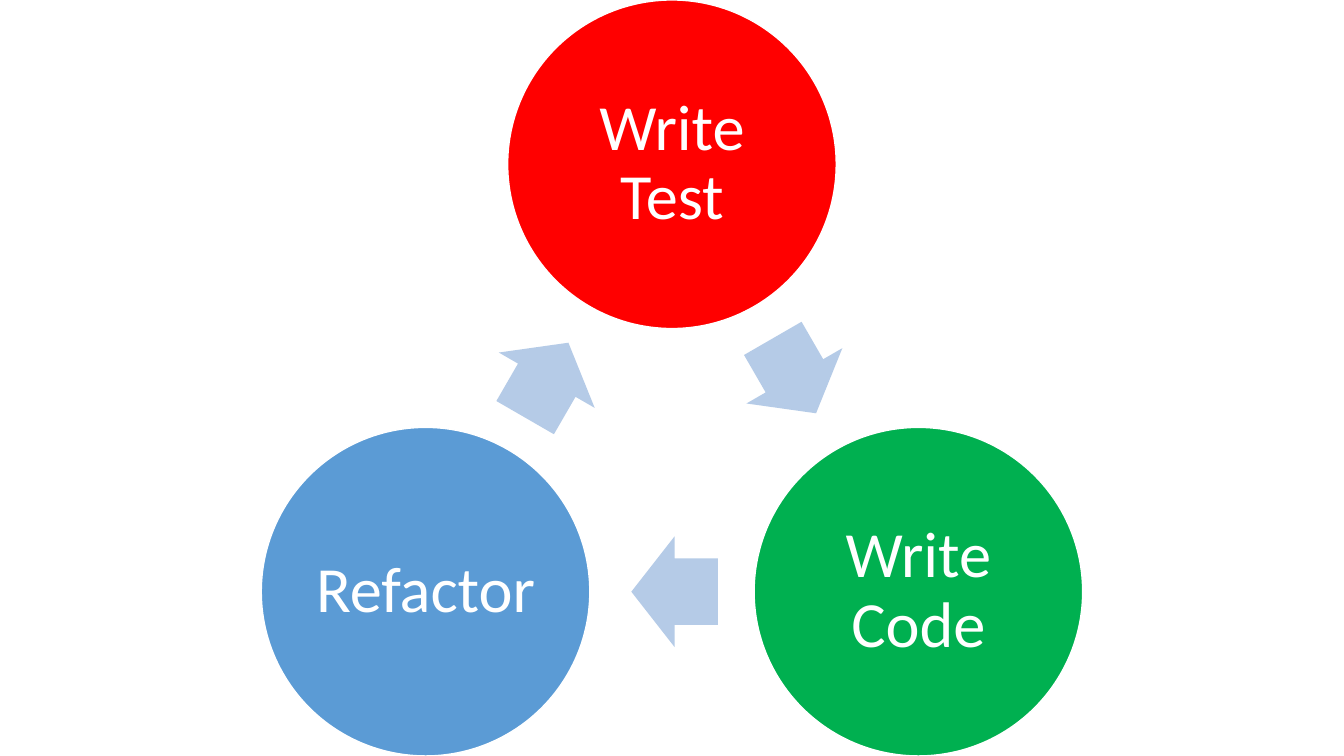
from dataclasses import dataclass

from pptx import Presentation
from pptx.dml.color import RGBColor
from pptx.enum.shapes import MSO_SHAPE
from pptx.enum.text import MSO_ANCHOR, PP_ALIGN
from pptx.util import Cm, Pt

OVAL, ARROW = MSO_SHAPE.OVAL, MSO_SHAPE.RIGHT_ARROW
MIDDLE, CENTER = MSO_ANCHOR.MIDDLE, PP_ALIGN.CENTER

# Lengths in cm
SLIDE_W, SLIDE_H = 33.87, 19.05
DIAMETER = 8.28
ARROW_W, ARROW_H = 2.18, 2.79
MID_X = SLIDE_W / 2
SIDE = 6.21
TOP_Y, BOTTOM_Y = DIAMETER / 2, SLIDE_H - DIAMETER / 2


@dataclass
class Step:
    text: str
    x: float
    y: float
    fill: str


@dataclass
class Arrow:
    x: float
    y: float
    rotation: int


STEPS = [
    Step("Write Test", MID_X, TOP_Y, "FF0000"),
    Step("Write Code", MID_X + SIDE, BOTTOM_Y, "00B050"),
    Step("Refactor", MID_X - SIDE, BOTTOM_Y, "5B9BD5"),
]
ARROWS = [
    Arrow(20.02, 9.47, 60),
    Arrow(17, BOTTOM_Y, 180),
    Arrow(13.78, 9.58, 300),
]


def color(value: str) -> RGBColor:
    return RGBColor.from_string(value)


def add_centered(s, kind, x: float, y: float, w: float, h: float, fill: str):
    """Add a filled shape around its centre point."""
    sp = s.shapes.add_shape(kind, Cm(x - w / 2), Cm(y - h / 2), Cm(w), Cm(h))
    sp.shadow.inherit = False
    sp.fill.solid()
    sp.fill.fore_color.rgb = color(fill)
    return sp


def add_step(s, step: Step) -> None:
    sp = add_centered(s, OVAL, step.x, step.y, DIAMETER, DIAMETER, step.fill)
    sp.line.color.rgb = color("FFFFFF")
    sp.line.width = Pt(1)
    tf = sp.text_frame
    tf.word_wrap = True
    tf.vertical_anchor = MIDDLE
    tf.margin_left = tf.margin_right = tf.margin_top = tf.margin_bottom = Cm(0.15)
    p = tf.paragraphs[0]
    p.text = step.text
    p.alignment = CENTER
    p.line_spacing = 0.9
    p.font.name = "Calibri"
    p.font.size = Pt(46)
    p.font.color.rgb = color("FFFFFF")


def add_arrow(s, arrow: Arrow) -> None:
    sp = add_centered(s, ARROW, arrow.x, arrow.y, ARROW_W, ARROW_H, "B5CBE7")
    sp.line.fill.background()
    sp.adjustments[0] = 0.6
    sp.adjustments[1] = 0.5
    sp.rotation = arrow.rotation


def main() -> None:
    prs = Presentation()
    prs.slide_width, prs.slide_height = Cm(SLIDE_W), Cm(SLIDE_H)
    s = prs.slides.add_slide(prs.slide_layouts[6])

    # Cycle: each step is followed by the arrow to the next
    for step, arrow in zip(STEPS, ARROWS):
        add_step(s, step)
        add_arrow(s, arrow)

    prs.save("out.pptx")


if __name__ == "__main__":
    main()
